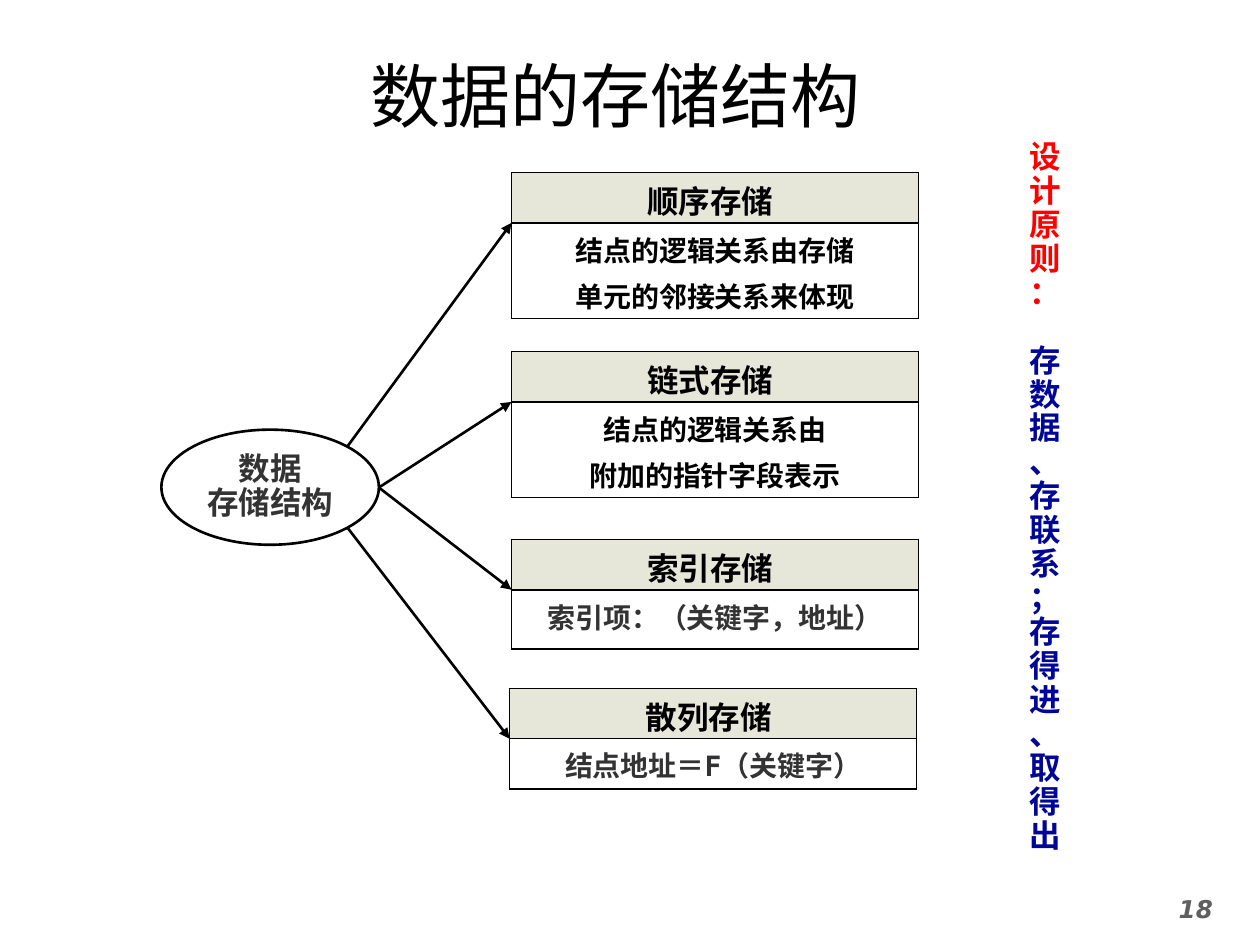
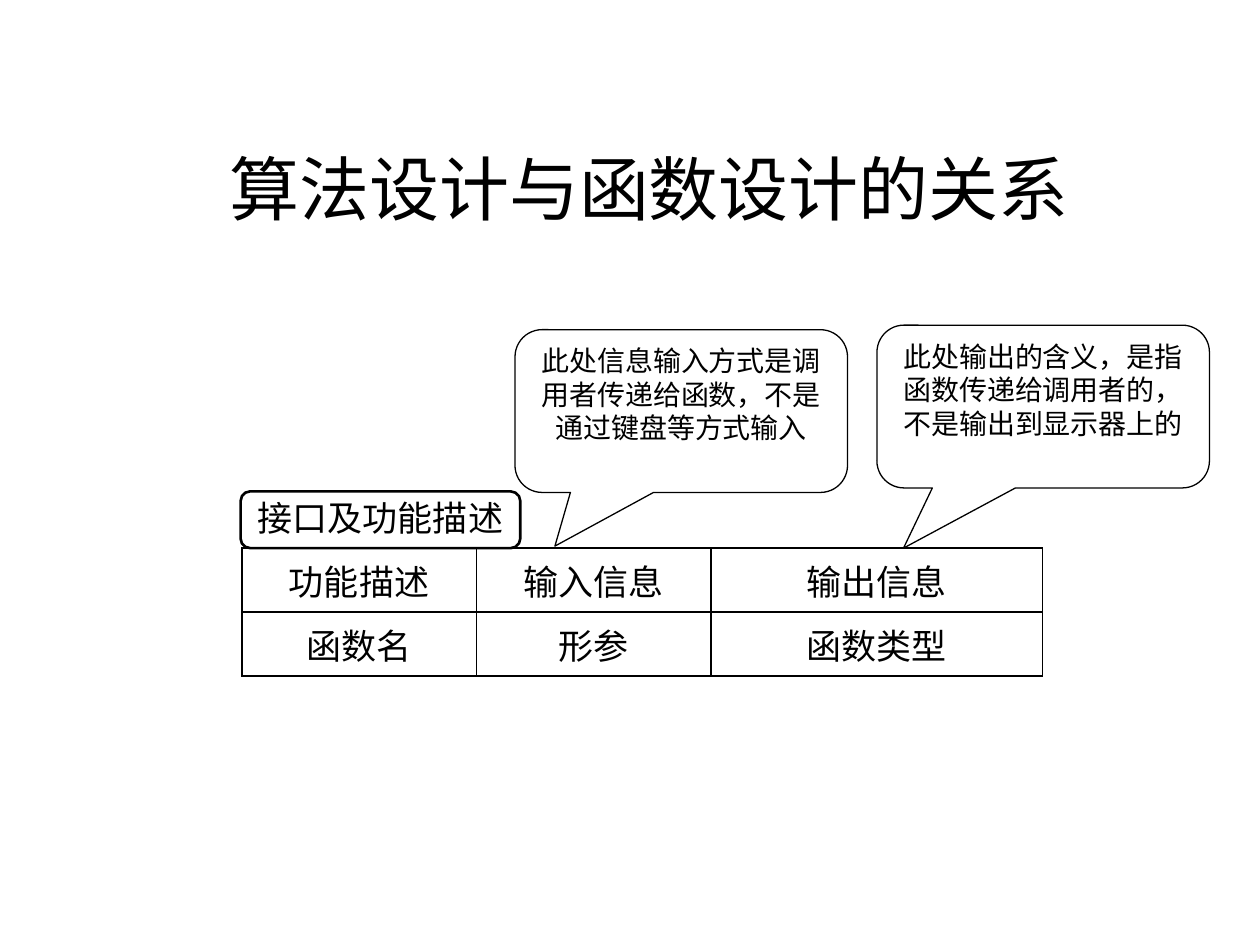
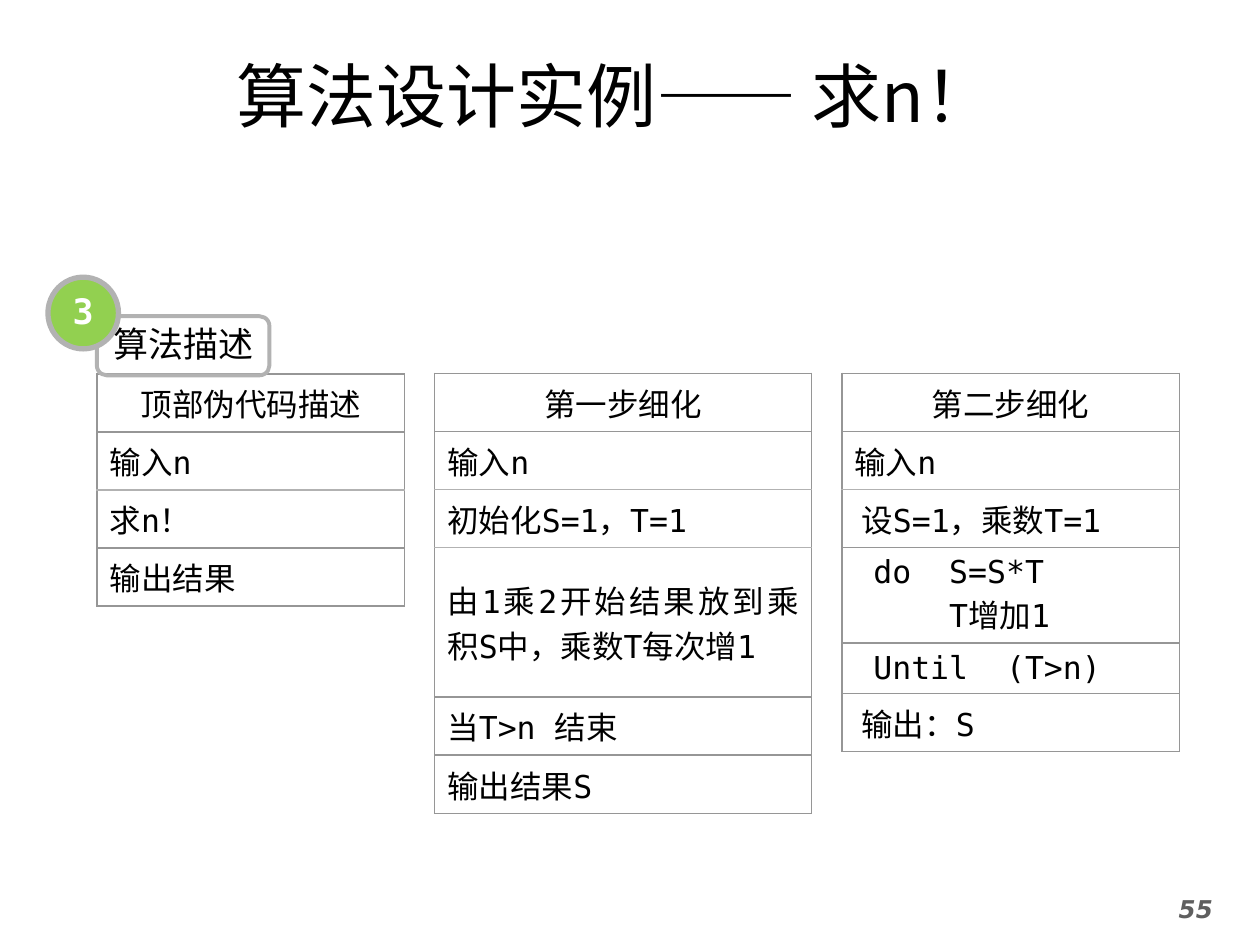
"""Build three slides on data storage, function design and algorithm refinement."""
from dataclasses import dataclass, replace
from typing import Optional, Sequence, Union

from lxml import etree
from pptx import Presentation
from pptx import util as u
from pptx.dml.color import RGBColor
from pptx.enum import shapes, text
from pptx.oxml import ns

Pt = u.Pt
COLORS = {
    "ink": "000000", "soft": "333333", "number": "5F5F5F", "white": "FFFFFF",
    "header": "E6E7D9", "red": "FF0000", "navy": "000798",
    "rule": "969696", "pale": "B2B2B2", "green": "92D050",
}
MONO, SANS, TITLE_FONT = "DejaVu Sans Mono", "Noto Sans CJK SC", "Noto Sans CJK JP"
CENTER, LEFT, JUSTIFY = text.PP_ALIGN.CENTER, text.PP_ALIGN.LEFT, text.PP_ALIGN.JUSTIFY
TOP, MIDDLE = text.MSO_ANCHOR.TOP, text.MSO_ANCHOR.MIDDLE
KIND = shapes.MSO_SHAPE


@dataclass(frozen=True)
class Style:
    size: float
    font: str = SANS
    color: str = "ink"
    bold: bool = False
    italic: bool = False
    align: int = CENTER
    leading: Optional[Union[float, u.Length]] = None
    gap: float = 0
    east: str = SANS


@dataclass(frozen=True)
class Box:
    left: float
    top: float
    width: float
    height: float


@dataclass(frozen=True)
class Storage:
    name: str
    lines: Sequence[str]
    left: float
    top: float
    body_height: float
    style: Style


@dataclass(frozen=True)
class Callout:
    message: str
    box: Box
    tip: tuple


@dataclass(frozen=True)
class Step:
    wording: str
    height: float = 33.2


@dataclass(frozen=True)
class Refinement:
    steps: Sequence[Step]
    left: float
    top: float
    width: float
    pale_rules: int


TITLE = Style(40, TITLE_FONT, east=TITLE_FONT)
NUMBER = Style(14, "DejaVu Sans", "number", bold=True, italic=True)
STORAGE_HEAD = Style(18, bold=True, leading=Pt(21.6))
STORAGE_BODY = Style(16, bold=True, leading=Pt(19.2), gap=7.1)
STORAGE_FORM = replace(STORAGE_BODY, font=MONO, color="soft")
ROOT = Style(18, MONO, "soft", bold=True, leading=Pt(19.4))
PRINCIPLE = Style(18, "Arial", "red", bold=True, align=LEFT, leading=Pt(19.4))
INTERFACE = Style(20)
LABEL = Style(20, leading=0.9)
CALLOUT = Style(16, leading=Pt(19.1))
STEP_HEAD = Style(18, MONO)
STEP = replace(STEP_HEAD, align=JUSTIFY)

HEAD_HEIGHT, STORAGE_WIDTH = 28.8, 232.6
STORAGES = [
    Storage("顺序存储", ["结点的逻辑关系由存储", "单元的邻接关系来体现"], 292.3, 98.6, 54.7, STORAGE_BODY),
    Storage("链式存储", ["结点的逻辑关系由", "附加的指针字段表示"], 292.3, 200.9, 54.7, STORAGE_BODY),
    Storage("索引存储", ["索引项：（关键字，地址）"], 292.3, 308.2, 33.8, STORAGE_FORM),
    Storage("散列存储", ["结点地址＝F（关键字）"], 291.2, 393.3, 28.8, STORAGE_FORM),
]
ARROW_STARTS = [(198.7, 254.9), (216.5, 278.6), (216.5, 278.6), (198.7, 301.7)]
CALLOUTS = [
    Callout("此处输出的含义，是指函数传递给调用者的，不是输出到显示器上的",
            Box(501.1, 185.8, 190, 93), (-0.42, 0.87)),
    Callout("此处信息输入方式是调用者传递给函数，不是通过键盘等方式输入",
            Box(294.3, 188.4, 190, 93), (-0.38, 0.83)),
]
REFINEMENTS = [
    Refinement([Step("顶部伪代码描述"), Step("输入n"), Step("求n！"), Step("输出结果")],
               55.4, 213.6, 175.9, 1),
    Refinement([Step("第一步细化"), Step("输入n"), Step("初始化S=1，T=1"),
                Step("由1乘2开始结果放到乘积S中，乘数T每次增1", 85.4),
                Step("当T>n 结束"), Step("输出结果S")], 248.4, 213.4, 215.3, 2),
    Refinement([Step("第二步细化"), Step("输入n"), Step(" 设S=1，乘数T=1"),
                Step(" do  S=S*T\n     T增加1", 54.4), Step(" Until  (T>n)", 28.8),
                Step(" 输出：S")], 481, 213.4, 193, 1),
]


def rgb(name: str) -> RGBColor:
    """Return a palette colour."""
    return RGBColor.from_string(COLORS[name])


def format_paragraph(paragraph, style: Style, gap: float = 0) -> None:
    """Apply a style to a whole paragraph."""
    paragraph.alignment = style.align
    if style.leading is not None:
        paragraph.line_spacing = style.leading
    if gap:
        paragraph.space_before = Pt(gap)
    font = paragraph.font
    font.size, font.name = Pt(style.size), style.font
    font.bold, font.italic = style.bold, style.italic
    font.color.rgb = rgb(style.color)
    properties = paragraph._p.pPr.find(ns.qn("a:defRPr"))
    etree.SubElement(properties, ns.qn("a:ea")).set("typeface", style.east)


def write(frame, lines: Sequence[str], style: Style) -> None:
    """Write one paragraph per line in one style."""
    for index, line in enumerate(lines):
        paragraph = frame.add_paragraph() if index else frame.paragraphs[0]
        paragraph.add_run().text = line
        format_paragraph(paragraph, style, style.gap if index else 0)


def place(box: Box) -> tuple:
    """Return a box as four lengths."""
    return Pt(box.left), Pt(box.top), Pt(box.width), Pt(box.height)


def add_titled_slide(deck, box: Box, pieces: Sequence[str]):
    """Add a title-only slide, with dashes of the title in Arial."""
    slide = deck.slides.add_slide(deck.slide_layouts[5])
    title = slide.shapes.title
    title.left, title.top, title.width, title.height = place(box)
    frame = title.text_frame
    frame.auto_size, frame.vertical_anchor = text.MSO_AUTO_SIZE.NONE, MIDDLE
    paragraph = frame.paragraphs[0]
    for piece in pieces:
        run = paragraph.add_run()
        run.text = piece
        if "—" in piece:
            run.font.name = "Arial"
    format_paragraph(paragraph, TITLE)
    return slide


def add_text(slide, box: Box, lines: Sequence[str], style: Style):
    """Add a wrapped text box and return its frame."""
    frame = slide.shapes.add_textbox(*place(box)).text_frame
    frame.word_wrap = True
    write(frame, lines, style)
    return frame


def add_number(slide, number: str) -> None:
    """Add the page number in the bottom right corner."""
    add_text(slide, Box(646.6, 507.5, 73.4, 31), [number], NUMBER)


def add_figure(slide, kind, box: Box, lines: Sequence[str], style: Style,
               fill: Optional[str], line: str, weight: float, wrap: bool = False):
    """Add an outlined preset shape with text."""
    figure = slide.shapes.add_shape(kind, *place(box))
    figure.shadow.inherit = False
    if fill:
        figure.fill.solid()
        figure.fill.fore_color.rgb = rgb(fill)
    else:
        figure.fill.background()
    figure.line.color.rgb = rgb(line)
    figure.line.width = Pt(weight)
    frame = figure.text_frame
    frame.word_wrap = wrap
    frame.vertical_anchor = TOP if wrap else MIDDLE
    write(frame, lines, style)
    return figure


def add_arrow(slide, start: tuple, end: tuple) -> None:
    """Add a black arrow from start to end."""
    arrow = slide.shapes.add_connector(
        shapes.MSO_CONNECTOR.STRAIGHT, *(Pt(value) for value in (*start, *end)))
    arrow.line.color.rgb = rgb("ink")
    arrow.line.width = Pt(1.5)
    etree.SubElement(arrow.line._get_or_add_ln(), ns.qn("a:tailEnd")).set("type", "triangle")
    etree.SubElement(arrow._element.spPr, ns.qn("a:effectLst"))


def set_borders(cell, top: str, bottom: str, side: str) -> None:
    """Draw the four one-point borders of a cell."""
    properties = cell._tc.get_or_add_tcPr()
    edges = (("L", side), ("R", side), ("T", top), ("B", bottom))
    for index, (edge, color) in enumerate(edges):
        line = etree.Element(ns.qn(f"a:ln{edge}"), w=str(Pt(1)))
        fill = etree.SubElement(line, ns.qn("a:solidFill"))
        etree.SubElement(fill, ns.qn("a:srgbClr")).set("val", COLORS[color])
        properties.insert(index, line)


def add_grid(slide, left: float, top: float, widths: Sequence[float], heights: Sequence[float]):
    """Add an unstyled table with the given columns and rows."""
    box = Box(left, top, sum(widths), sum(heights))
    grid = slide.shapes.add_table(len(heights), len(widths), *place(box)).table
    grid.first_row = grid.horz_banding = False
    for column, width in zip(grid.columns, widths):
        column.width = Pt(width)
    for row, height in zip(grid.rows, heights):
        row.height = Pt(height)
    return grid


def fill_cell(cell, lines: Sequence[str], style: Style, fill: Optional[str] = None,
              top: str = "ink", bottom: str = "ink", side: str = "ink", anchor=MIDDLE) -> None:
    """Write, fill and border one cell."""
    write(cell.text_frame, lines, style)
    cell.vertical_anchor = anchor
    if fill:
        cell.fill.solid()
        cell.fill.fore_color.rgb = rgb(fill)
    else:
        cell.fill.background()
    set_borders(cell, top, bottom, side)


def add_storage(slide, storage: Storage) -> None:
    """Add the header and description of one storage structure."""
    grid = add_grid(slide, storage.left, storage.top, [STORAGE_WIDTH],
                    [HEAD_HEIGHT, storage.body_height])
    head, body = grid.cell(0, 0), grid.cell(1, 0)
    fill_cell(head, [storage.name], STORAGE_HEAD, "header", anchor=TOP)
    fill_cell(body, storage.lines, storage.style, anchor=TOP)
    for cell in (head, body):
        cell.margin_top, cell.margin_bottom = Pt(7.2), Pt(0)
    head.margin_right = Pt(12.5)


def add_refinement(slide, refinement: Refinement) -> None:
    """Add one column of refinement steps under its heading."""
    heights = [step.height for step in refinement.steps]
    grid = add_grid(slide, refinement.left, refinement.top, [refinement.width], heights)
    rules = ["rule"] * 2 + ["pale"] * refinement.pale_rules + ["rule"] * len(heights)
    for row, step in enumerate(refinement.steps):
        fill_cell(grid.cell(row, 0), step.wording.split("\n"), STEP if row else STEP_HEAD,
                  top=rules[row], bottom=rules[row + 1], side="rule")


def build_storage(deck) -> None:
    """Build the slide on storage structures."""
    slide = add_titled_slide(deck, Box(93.6, 26.6, 516.2, 55.4), ["数据的存储结构"])
    add_number(slide, "18")
    add_figure(slide, KIND.OVAL, Box(92.2, 245.5, 124.3, 65.8), ["数据", "存储结构"],
               ROOT, None, "ink", 1.5)
    for storage, start in zip(STORAGES, ARROW_STARTS):
        add_storage(slide, storage)
        add_arrow(slide, start, (storage.left, storage.top + HEAD_HEIGHT))
    frame = add_text(slide, Box(581, 77, 45.4, 419.8), ["设计原则", "："], PRINCIPLE)
    for index, line in enumerate(["存数据", "、存联系", "；存得进", "、取得出"]):
        paragraph = frame.add_paragraph()
        paragraph.add_run().text = line
        format_paragraph(paragraph, replace(PRINCIPLE, color="navy"), 0 if index else 19.4)


def build_interface(deck) -> None:
    """Build the slide relating algorithms to functions."""
    slide = add_titled_slide(deck, Box(99.4, 54.7, 542.9, 104.4), ["算法设计与函数设计的关系"])
    grid = add_grid(slide, 138.2, 313.2, [134, 134, 189.6], [36.5, 36.5])
    parts = [["功能描述", "输入信息", "输出信息"], ["函数名", "形参", "函数类型"]]
    for row, names in enumerate(parts):
        for column, name in enumerate(names):
            fill_cell(grid.cell(row, column), [name], INTERFACE, "white")
    add_figure(slide, KIND.ROUNDED_RECTANGLE, Box(137.5, 280.8, 159.8, 32.4),
               ["接口及功能描述"], replace(LABEL, font="Courier New"), "white", "ink", 1.5)
    for callout in CALLOUTS:
        bubble = add_figure(slide, KIND.ROUNDED_RECTANGULAR_CALLOUT, callout.box,
                            [callout.message], CALLOUT, "white", "ink", 0.75, wrap=True)
        bubble.adjustments[0], bubble.adjustments[1] = callout.tip


def build_factorial(deck) -> None:
    """Build the slide refining the factorial algorithm."""
    slide = add_titled_slide(deck, Box(93.6, 26.6, 516.2, 55.4),
                             ["算法设计实例", "—— ", "求n！"])
    add_number(slide, "55")
    for refinement in REFINEMENTS:
        add_refinement(slide, refinement)
    add_figure(slide, KIND.ROUNDED_RECTANGLE, Box(55.4, 180.7, 98.6, 33.8), ["算法描述"],
               LABEL, None, "pale", 2.25)
    add_figure(slide, KIND.OVAL, Box(27.4, 158.4, 40.3, 41), ["3"],
               replace(LABEL, font=MONO, color="white", bold=True), "green", "pale", 3)


def main() -> None:
    """Build and save the deck."""
    deck = Presentation()
    deck.slide_width, deck.slide_height = Pt(720), Pt(540)
    build_storage(deck)
    build_interface(deck)
    build_factorial(deck)
    deck.save("out.pptx")


if __name__ == "__main__":
    main()
